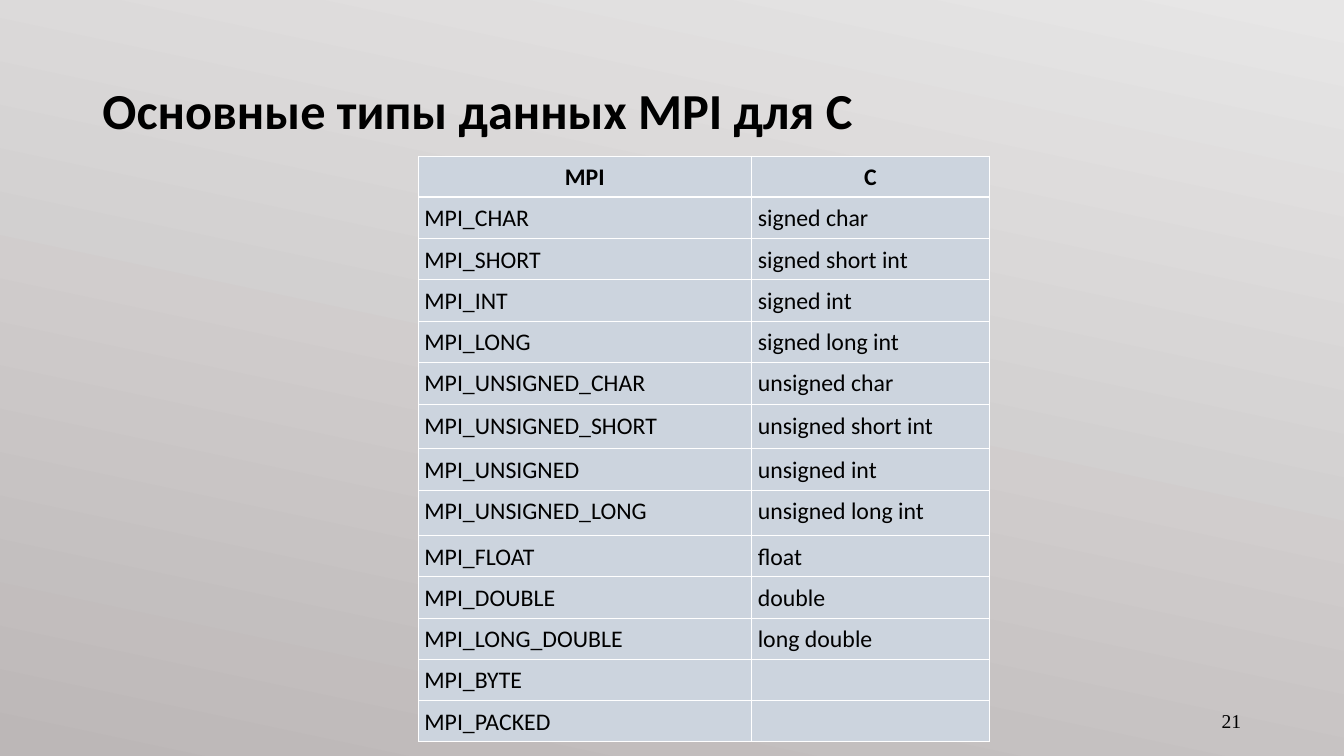
from dataclasses import dataclass

from lxml.etree import SubElement
from pptx import Presentation
from pptx.dml.color import RGBColor
from pptx.enum.text import MSO_ANCHOR, PP_ALIGN
from pptx.oxml.ns import qn
from pptx.slide import Slide
from pptx.table import _Cell
from pptx.text.text import _Paragraph
from pptx.util import Pt

COLORS = {
    "text": "000000",
    "cell": "CCD4DE",
    "border": "FFFFFF",
    "light": "E7E6E6",
    "dark": "BCB7B7",
}
THIN_BORDER, HEADER_BORDER = 0.45, 1.47
COLUMN_WIDTHS = (238.3, 169.9)


@dataclass(frozen=True)
class TextStyle:
    size: float
    font: str = "Calibri"
    bold: bool = False
    align: PP_ALIGN = PP_ALIGN.LEFT
    line_spacing: float = 1.0


@dataclass(frozen=True)
class Label:
    text: str
    left: float
    top: float
    width: float
    height: float
    style: TextStyle


@dataclass(frozen=True)
class TypeRow:
    mpi: str
    c: str = ""
    height: float = 29.5


HEADER_STYLE = TextStyle(17, bold=True, align=PP_ALIGN.CENTER, line_spacing=1.07)
BODY_STYLE = TextStyle(17, line_spacing=1.07)

LABELS = (
    Label("Основные типы данных MPI для C", 66.2, 28.8, 828, 104.4,
          TextStyle(36, bold=True, line_spacing=0.9)),
    Label("21", 678.2, 500.4, 216, 28.8,
          TextStyle(14, font="Times New Roman", align=PP_ALIGN.RIGHT)),
)
TYPE_ROWS = (
    TypeRow("MPI", "C"),
    TypeRow("MPI_CHAR", "signed char"),
    TypeRow("MPI_SHORT", "signed short int"),
    TypeRow("MPI_INT", "signed int"),
    TypeRow("MPI_LONG", "signed long int"),
    TypeRow("MPI_UNSIGNED_CHAR", "unsigned char", 30.2),
    TypeRow("MPI_UNSIGNED_SHORT", "unsigned short int", 31.5),
    TypeRow("MPI_UNSIGNED", "unsigned int"),
    TypeRow("MPI_UNSIGNED_LONG", "unsigned long int", 32.5),
    TypeRow("MPI_FLOAT", "float"),
    TypeRow("MPI_DOUBLE", "double"),
    TypeRow("MPI_LONG_DOUBLE", "long double"),
    TypeRow("MPI_BYTE"),
    TypeRow("MPI_PACKED"),
)


def color(name: str) -> RGBColor:
    return RGBColor.from_string(COLORS[name])


def write_text(paragraph: _Paragraph, text: str, style: TextStyle) -> None:
    paragraph.alignment = style.align
    paragraph.line_spacing = style.line_spacing
    run = paragraph.add_run()
    run.text = text
    run.font.name = style.font
    run.font.size = Pt(style.size)
    run.font.bold = style.bold
    run.font.color.rgb = color("text")


def add_label(slide: Slide, label: Label) -> None:
    shape = slide.shapes.add_textbox(
        Pt(label.left), Pt(label.top), Pt(label.width), Pt(label.height))
    shape.text_frame.word_wrap = True
    shape.text_frame.vertical_anchor = MSO_ANCHOR.MIDDLE
    write_text(shape.text_frame.paragraphs[0], label.text, label.style)


def add_borders(cell: _Cell, top: float, bottom: float) -> None:
    properties = cell._tc.get_or_add_tcPr()
    widths = {"a:lnL": THIN_BORDER, "a:lnR": THIN_BORDER, "a:lnT": top, "a:lnB": bottom}
    for tag, width in widths.items():
        line = SubElement(properties, qn(tag), w=str(Pt(width)))
        fill = SubElement(line, qn("a:solidFill"))
        SubElement(fill, qn("a:srgbClr"), val=COLORS["border"])


def format_cell(cell: _Cell, row_index: int) -> None:
    cell.margin_left = cell.margin_right = Pt(4.5)
    cell.margin_top = cell.margin_bottom = Pt(3.6)
    add_borders(
        cell,
        top=HEADER_BORDER if row_index == 1 else THIN_BORDER,
        bottom=HEADER_BORDER if row_index == 0 else THIN_BORDER,
    )
    cell.fill.solid()
    cell.fill.fore_color.rgb = color("cell")


def add_type_table(slide: Slide, rows: tuple[TypeRow, ...]) -> None:
    frame = slide.shapes.add_table(
        len(rows), len(COLUMN_WIDTHS), Pt(298.8), Pt(111.3),
        Pt(sum(COLUMN_WIDTHS)), Pt(sum(row.height for row in rows)))
    table = frame.table
    table.horz_banding = False
    for column, width in zip(table.columns, COLUMN_WIDTHS):
        column.width = Pt(width)
    for row_index, row in enumerate(rows):
        table.rows[row_index].height = Pt(row.height)
        style = BODY_STYLE if row_index else HEADER_STYLE
        for column_index, text in enumerate((row.mpi, row.c)):
            cell = table.cell(row_index, column_index)
            format_cell(cell, row_index)
            if text:
                write_text(cell.text_frame.paragraphs[0], text, style)


def paint_background(slide: Slide) -> None:
    fill = slide.background.fill
    fill.gradient()
    fill.gradient_angle = 258
    for stop, name, position in zip(fill.gradient_stops, ("light", "dark"), (0, 1)):
        stop.color.rgb = color(name)
        stop.position = position


def main() -> None:
    """Build the slide of basic MPI data types for C."""
    presentation = Presentation()
    presentation.slide_width = Pt(960.5)
    presentation.slide_height = Pt(540)
    slide = presentation.slides.add_slide(presentation.slide_layouts[6])
    paint_background(slide)
    title, page_number = LABELS
    add_label(slide, title)
    add_type_table(slide, TYPE_ROWS)
    add_label(slide, page_number)
    presentation.save("out.pptx")


if __name__ == "__main__":
    main()
